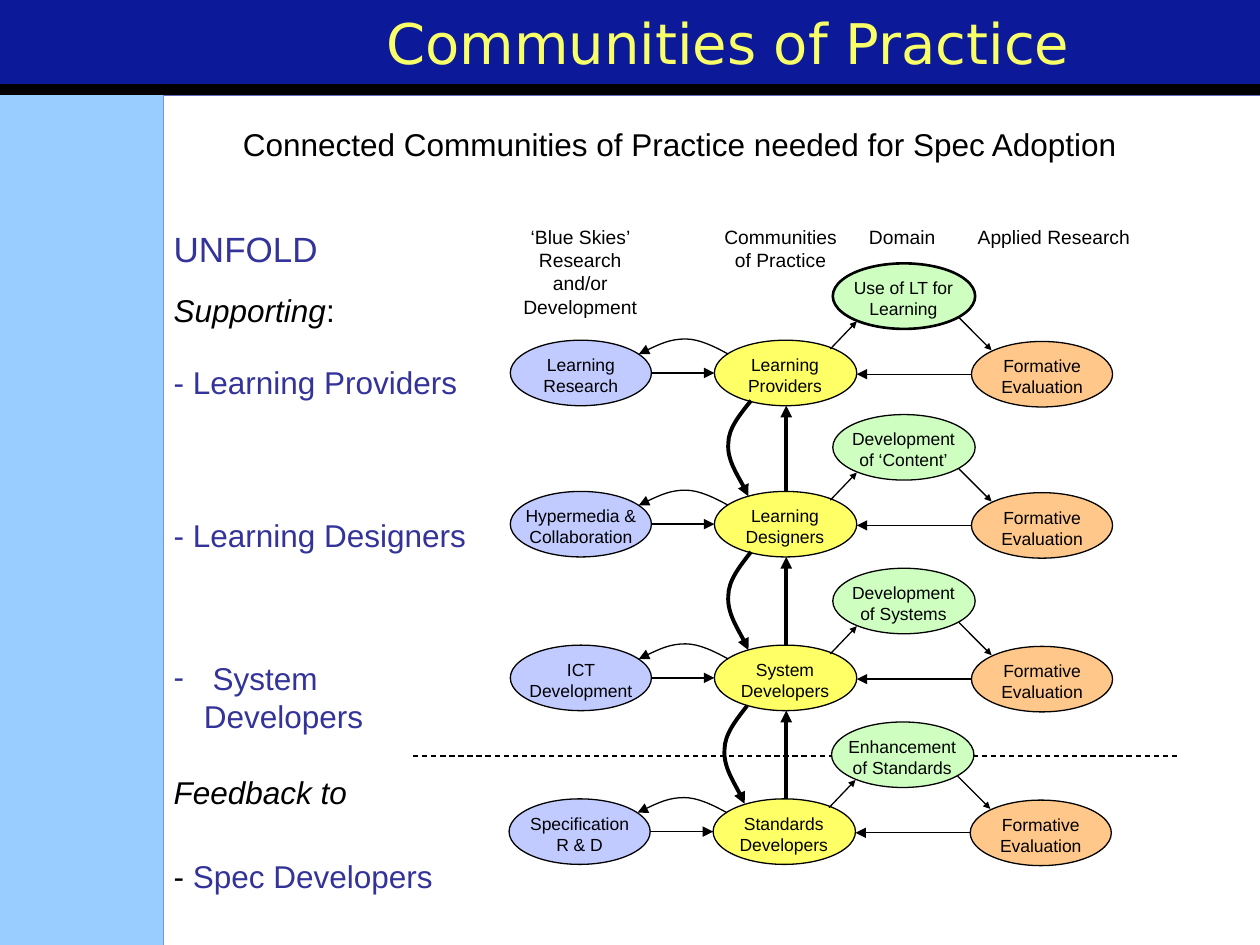
from lxml.etree import SubElement
from pptx import Presentation
from pptx.dml.color import RGBColor
from pptx.enum.dml import MSO_LINE
from pptx.enum.shapes import MSO_CONNECTOR, MSO_SHAPE
from pptx.enum.text import MSO_ANCHOR, PP_ALIGN
from pptx.oxml.ns import qn
from pptx.util import Inches, Pt

COLORS = {
    "navy": "0C1A9A", "white": "FFFFFF", "sky": "99CCFF", "black": "000000",
    "lemon": "F8FF67", "indigo": "333399", "research": "C1CBFF",
    "community": "FFFF66", "domain": "CEFFC1", "evaluation": "FFC789",
}
COLUMNS = {
    "research": (4.05, 1.12, 0), "community": (5.67, 1.13, 0),
    "domain": (6.61, 1.13, -0.61), "evaluation": (7.71, 1.12, 0.01),
}
ROWS = [
    (2.7, 0, ["Learning Research", "Learning Providers", "Use of LT for Learning"]),
    (3.9, 0, ["Hypermedia & Collaboration", "Learning Designers", "Development of ‘Content’"]),
    (5.12, 0, ["ICT Development", "System Developers", "Development of Systems"]),
    (6.34, -0.01, ["Specification R & D", "Standards Developers", "Enhancement of Standards"]),
]
ROW_ARROWS = [
    (5.17, 0.26, 5.67, 0.26, "med"), (7.71, 0.27, 6.8, 0.27, "med"),
    (6.59, 0.07, 6.8, -0.15, "sm"), (7.61, -0.18, 7.87, 0.08, "sm"),
]
HEADINGS = [
    (4.11, 0.99, 0.77, "‘Blue Skies’ Research and/or Development", PP_ALIGN.CENTER),
    (5.7, 0.99, 0.43, "Communities of Practice", PP_ALIGN.CENTER),
    (6.75, 0.82, 0.25, "Domain", PP_ALIGN.CENTER),
    (7.76, 1.3, 0.61, "Applied Research", PP_ALIGN.LEFT),
]
SUPPORT_LIST = [
    (0, 20, [("UNFOLD", "indigo", False)]),
    (12, 18, [("Supporting", "black", True), (":", "black", False)]),
    (19.6, 18, [("- Learning Providers", "indigo", False)]),
    (66, 18, [("- Learning Designers", "indigo", False)]),
    (60, 18, [(" System Developers", "indigo", False)]),
    (21.8, 18, [("Feedback to", "black", True)]),
    (26.3, 18, [("- ", "black", False), ("Spec Developers", "indigo", False)]),
]
ELLIPSE_HEIGHT = 0.52


def color(name):
    return RGBColor.from_string(COLORS[name])


class Canvas:
    """Hold the slide style and the page being drawn."""

    def __init__(self, page, font="Arial"):
        self.page = page
        self.font = font

    def shape(self, kind, at, fill, line=0):
        shape = self.page.shapes.add_shape(kind, *map(Inches, at))
        shape.shadow.inherit = False
        shape.fill.solid()
        shape.fill.fore_color.rgb = color(fill)
        if line:
            self.stroke(shape, line)
        else:
            shape.line.fill.background()

    def stroke(self, shape, width, head=None):
        shape.line.color.rgb = color("black")
        shape.line.width = Pt(width)
        if head:
            outline = shape._element.spPr.find(qn("a:ln"))
            SubElement(outline, qn("a:tailEnd"), type="triangle", w=head, len=head)

    def line(self, start, end, width=0.75, head="med"):
        connector = self.page.shapes.add_connector(
            MSO_CONNECTOR.STRAIGHT, *map(Inches, start + end))
        self.stroke(connector, width, head)
        SubElement(connector._element.spPr, qn("a:effectLst"))
        return connector

    def curve(self, points, width=0.75):
        start, *rest = [(Inches(x), Inches(y)) for x, y in points]
        builder = self.page.shapes.build_freeform(*start)
        builder.add_line_segments(rest, close=False)
        shape = builder.convert_to_shape()
        self.bend(shape)
        shape.shadow.inherit = False
        shape.fill.background()
        self.stroke(shape, width, "med")

    def bend(self, shape):
        outline = next(shape._element.iter(qn("a:path")))
        segments = outline.findall(qn("a:lnTo"))
        for first in range(0, len(segments), 3):
            cubic = SubElement(outline, qn("a:cubicBezTo"))
            for segment in segments[first:first + 3]:
                cubic.append(segment[0])
                outline.remove(segment)

    def frame(self, at, inset=True):
        box = self.page.shapes.add_textbox(*map(Inches, at))
        frame = box.text_frame
        frame.word_wrap = True
        across, down = (0.1, 0.05) if inset else (0, 0)
        frame.margin_left = frame.margin_right = Inches(across)
        frame.margin_top = frame.margin_bottom = Inches(down)
        return frame

    def text(self, at, words, size, ink="black", align=PP_ALIGN.CENTER, inset=False, font=None):
        frame = self.frame(at, inset)
        para = frame.paragraphs[0]
        para.text = words
        para.alignment = align
        para.font.name = font or self.font
        para.font.size = Pt(size)
        para.font.color.rgb = color(ink)
        return frame

    def support_list(self, at, items):
        frame = self.frame(at)
        for index, (before, size, spans) in enumerate(items):
            para = frame.add_paragraph() if index else frame.paragraphs[0]
            para.space_before = Pt(before)
            if spans[0][0].startswith(" "):
                self.dash_bullet(para)
            para.font.name = self.font
            para.font.size = Pt(size)
            for words, ink, italic in spans:
                span = para.add_run()
                span.text = words
                span.font.color.rgb = color(ink)
                span.font.italic = italic

    def dash_bullet(self, para):
        properties = para._p.get_or_add_pPr()
        properties.set("marL", str(Inches(0.24)))
        properties.set("indent", str(-Inches(0.24)))
        ink = SubElement(properties, qn("a:buClr"))
        SubElement(ink, qn("a:srgbClr"), val=COLORS["indigo"])
        SubElement(properties, qn("a:buFont"), typeface=self.font)
        SubElement(properties, qn("a:buChar"), char="-")

    def community_row(self, top, shift, labels):
        labels = labels + ["Formative Evaluation"]
        for (name, (left, width, drop)), label in zip(COLUMNS.items(), labels):
            x, y = left + shift, top + drop
            outline = 1.5 if label.startswith("Use of") else 0.75
            self.shape(MSO_SHAPE.OVAL, (x, y, width, ELLIPSE_HEIGHT), name, outline)
            self.text((x + 0.11, y + 0.11, 0.9, 0.32), label, 10)
        for x1, y1, x2, y2, head in ROW_ARROWS:
            self.line((x1 + shift, top + y1), (x2 + shift, top + y2), head=head)
        arc = ((5.78, 0.11), (5.67, 0.05), (5.55, -0.01), (5.44, -0.01),
               (5.32, -0.01), (5.19, 0.05), (5.07, 0.11))
        self.curve([(x + shift, top + y) for x, y in arc])

    def row_link(self, top, next_top, shift):
        self.line((6.24, next_top), (6.24, top + ELLIPSE_HEIGHT), 2.25)
        start, end = top + 0.48, next_top + 0.04
        bow = ((5.96, 0), (5.87, 0.15), (5.78, 0.29), (5.78, 0.45),
               (5.77, 0.62), (5.91, 0.9), (5.94, 1))
        self.curve([(x + 3 * shift, start + y * (end - start)) for x, y in bow], 2.25)


def main():
    deck = Presentation()
    deck.slide_width, deck.slide_height = Inches(10), Inches(7.5)
    page = deck.slides.add_slide(deck.slide_layouts[6])
    page.background.fill.solid()
    page.background.fill.fore_color.rgb = color("navy")
    canvas = Canvas(page)

    canvas.shape(MSO_SHAPE.RECTANGLE, (1.3, 0.76, 8.7, 6.74), "white")
    canvas.shape(MSO_SHAPE.RECTANGLE, (0, 0.75, 1.3, 6.75), "sky")
    canvas.shape(MSO_SHAPE.RECTANGLE, (0, 0.67, 10, 0.08), "black", 0.75)
    divider = canvas.line((3.28, 6), (9.35, 6), head=None)
    divider.line.dash_style = MSO_LINE.DASH

    title = canvas.text((2.07, 0, 7.42, 0.67), "Communities of Practice", 32, "lemon",
                        inset=True, font="DejaVu Sans")
    title.vertical_anchor = MSO_ANCHOR.MIDDLE
    canvas.text((1.83, 0.94, 7.17, 0.4),
                "Connected Communities of Practice needed for Spec Adoption",
                18, align=PP_ALIGN.LEFT, inset=True)
    for left, width, height, words, align in HEADINGS:
        canvas.text((left, 1.79, width, height), words, 11, align=align)

    for row in ROWS:
        canvas.community_row(*row)
    for (top, _, _), (next_top, shift, _) in zip(ROWS, ROWS[1:]):
        canvas.row_link(top, next_top, shift)
    canvas.support_list((1.28, 1.76, 2.58, 5.1), SUPPORT_LIST)
    deck.save("out.pptx")


if __name__ == "__main__":
    main()
